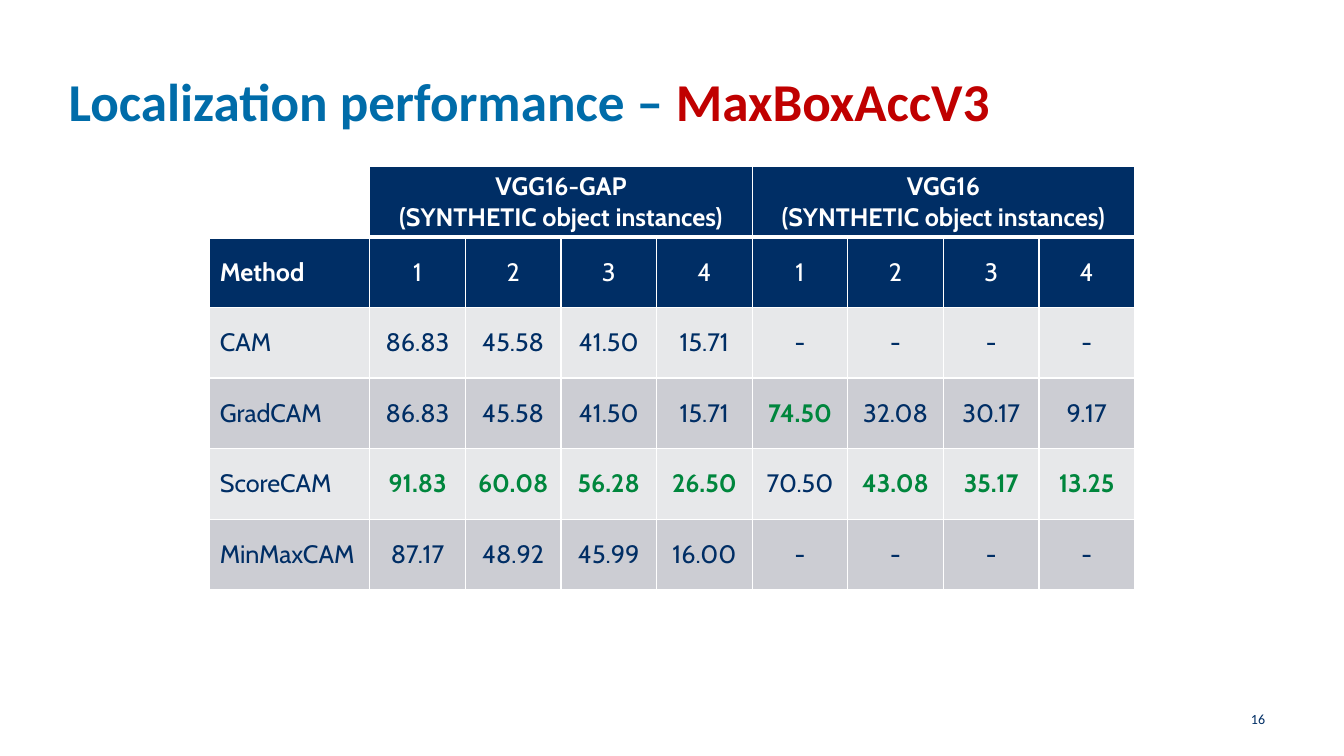
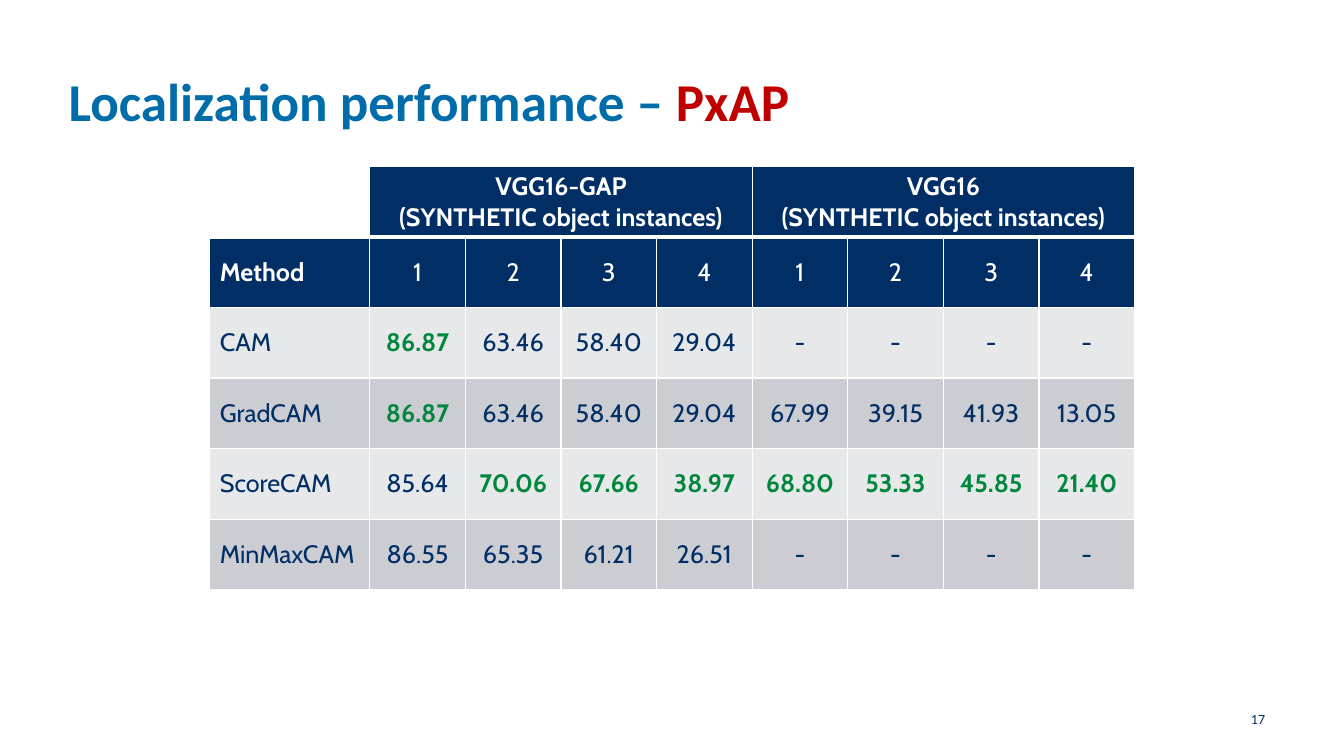
import pptx
import pptx.dml.color
import pptx.enum.text
import pptx.oxml
import pptx.oxml.ns
import pptx.util

Pt = pptx.util.Pt
RGB = pptx.dml.color.RGBColor
ALIGN = pptx.enum.text.PP_ALIGN
ANCHOR = pptx.enum.text.MSO_ANCHOR

# Shared colours and fonts
WHITE = RGB(0xFF, 0xFF, 0xFF)
NAVY = RGB(0x00, 0x2E, 0x65)
BLUE = RGB(0x00, 0x6C, 0xA9)
RED = RGB(0xC0, 0x00, 0x00)
GREEN = RGB(0x00, 0x86, 0x3D)
BANDS = (RGB(0xE7, 0xE8, 0xEA), RGB(0xCC, 0xCD, 0xD3))
HEAD_FONT = "Calibri"
TABLE_FONT = "Cabin"

# Table layout
METHOD_W, VALUE_W, ROW_H = 114.3, 68.3, 50.4
MODELS = ("VGG16-GAP", "VGG16")
INSTANCES = ("1", "2", "3", "4")
METHODS = ("CAM", "GradCAM", "ScoreCAM", "MinMaxCAM")

# Metric, slide number, one line of scores per method
RESULTS = (
    ("MaxBoxAccV3", 16, (
        "86.83 45.58 41.50 15.71 - - - -",
        "86.83 45.58 41.50 15.71 74.50 32.08 30.17 9.17",
        "91.83 60.08 56.28 26.50 70.50 43.08 35.17 13.25",
        "87.17 48.92 45.99 16.00 - - - -")),
    ("PxAP", 17, (
        "86.87 63.46 58.40 29.04 - - - -",
        "86.87 63.46 58.40 29.04 67.99 39.15 41.93 13.05",
        "85.64 70.06 67.66 38.97 68.80 53.33 45.85 21.40",
        "86.55 65.35 61.21 26.51 - - - -")),
)


def set_font(p, name, size, color=None, bold=False):
    p.font.name = name
    p.font.size = Pt(size)
    p.font.bold = bold
    if color is not None:
        p.font.color.rgb = color


def add_box(slide, left, top, width, height):
    sp = slide.shapes.add_textbox(Pt(left), Pt(top), Pt(width), Pt(height))
    sp.text_frame.word_wrap = True
    return sp.text_frame


def add_title(slide, metric):
    tf = add_box(slide, 49, 49, 862, 62.6)
    tf.margin_left = tf.margin_right = tf.margin_top = tf.margin_bottom = 0
    p = tf.paragraphs[0]
    set_font(p, HEAD_FONT, 38, bold=True)
    for text, color in (("Localization performance – ", BLUE), (metric, RED)):
        r = p.add_run()
        r.text = text
        r.font.color.rgb = color


def add_number(slide, number):
    tf = add_box(slide, 702.7, 499, 208, 28.8)
    tf.vertical_anchor = ANCHOR.MIDDLE
    p = tf.paragraphs[0]
    p.text = str(number)
    p.alignment = ALIGN.RIGHT
    set_font(p, HEAD_FONT, 10, NAVY)


def set_borders(cell, top=1, bottom=1):
    tc_pr = cell._tc.get_or_add_tcPr()
    for side, width in (("L", 1), ("R", 1), ("T", top), ("B", bottom)):
        tc_pr.append(pptx.oxml.parse_xml(
            f'<a:ln{side} {pptx.oxml.ns.nsdecls("a")} w="{Pt(width)}"><a:solidFill>'
            f'<a:srgbClr val="{WHITE}"/></a:solidFill></a:ln{side}>'))


def fill_cell(cell, text, fill, color, bold=False, align=ALIGN.CENTER):
    cell.fill.solid()
    cell.fill.fore_color.rgb = fill
    cell.vertical_anchor = ANCHOR.MIDDLE
    cell.text = text
    for p in cell.text_frame.paragraphs:
        p.alignment = align
        set_font(p, TABLE_FONT, 18, color, bold)


def add_scores(slide, lines):
    scores = [line.split() for line in lines]
    best = [max(float(s) for s in column if s != "-") for column in zip(*scores)]
    n_rows, n_cols = len(METHODS) + 2, len(best) + 1
    table = slide.shapes.add_table(
        n_rows, n_cols, Pt(149.8), Pt(118.8),
        Pt(METHOD_W + VALUE_W * len(best)), Pt(ROW_H * n_rows)).table
    table.first_row = table.horz_banding = False
    for i, column in enumerate(table.columns):
        column.width = Pt(VALUE_W if i else METHOD_W)
    for i, row in enumerate(table.rows):
        row.height = Pt(ROW_H)
        for cell in row.cells:
            set_borders(cell, top=3 if i == 1 else 1, bottom=1 if i else 3)

    # Header rows
    table.cell(0, 0).fill.background()
    span = len(INSTANCES)
    for i, model in enumerate(MODELS):
        first = 1 + i * span
        table.cell(0, first).merge(table.cell(0, first + span - 1))
        fill_cell(table.cell(0, first), f"{model}\n(SYNTHETIC object instances)",
                  NAVY, WHITE, True)
    fill_cell(table.cell(1, 0), "Method", NAVY, WHITE, True, ALIGN.LEFT)
    for i, count in enumerate(INSTANCES * len(MODELS), 1):
        fill_cell(table.cell(1, i), count, NAVY, WHITE)

    # Method rows, best score of each column in green
    for i, (method, values) in enumerate(zip(METHODS, scores)):
        band = BANDS[i % 2]
        fill_cell(table.cell(i + 2, 0), method, band, NAVY, align=ALIGN.LEFT)
        for j, (value, top) in enumerate(zip(values, best), 1):
            is_best = value != "-" and float(value) == top
            fill_cell(table.cell(i + 2, j), value, band,
                      GREEN if is_best else NAVY, is_best)


def main():
    prs = pptx.Presentation()
    prs.slide_width, prs.slide_height = Pt(960), Pt(540)
    for metric, number, lines in RESULTS:
        slide = prs.slides.add_slide(prs.slide_layouts[6])
        add_title(slide, metric)
        add_number(slide, number)
        add_scores(slide, lines)
    prs.save("out.pptx")


if __name__ == "__main__":
    main()
